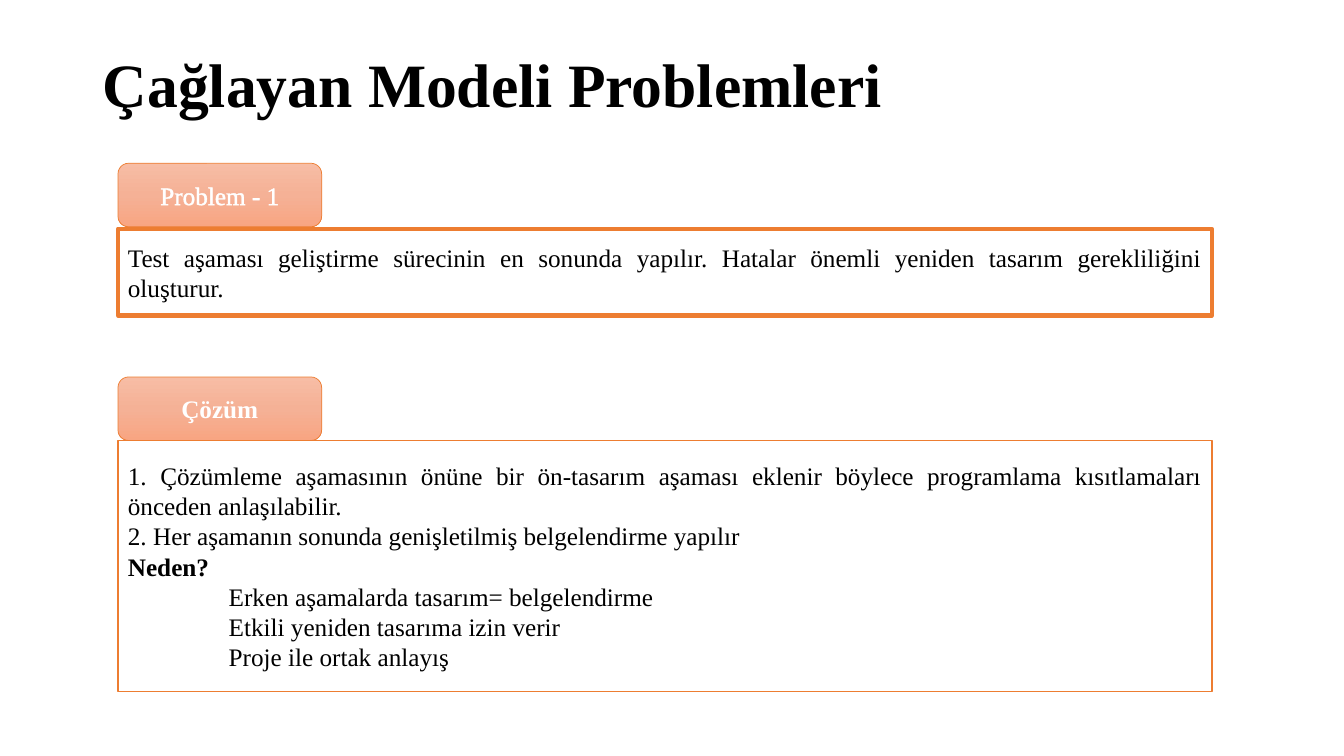
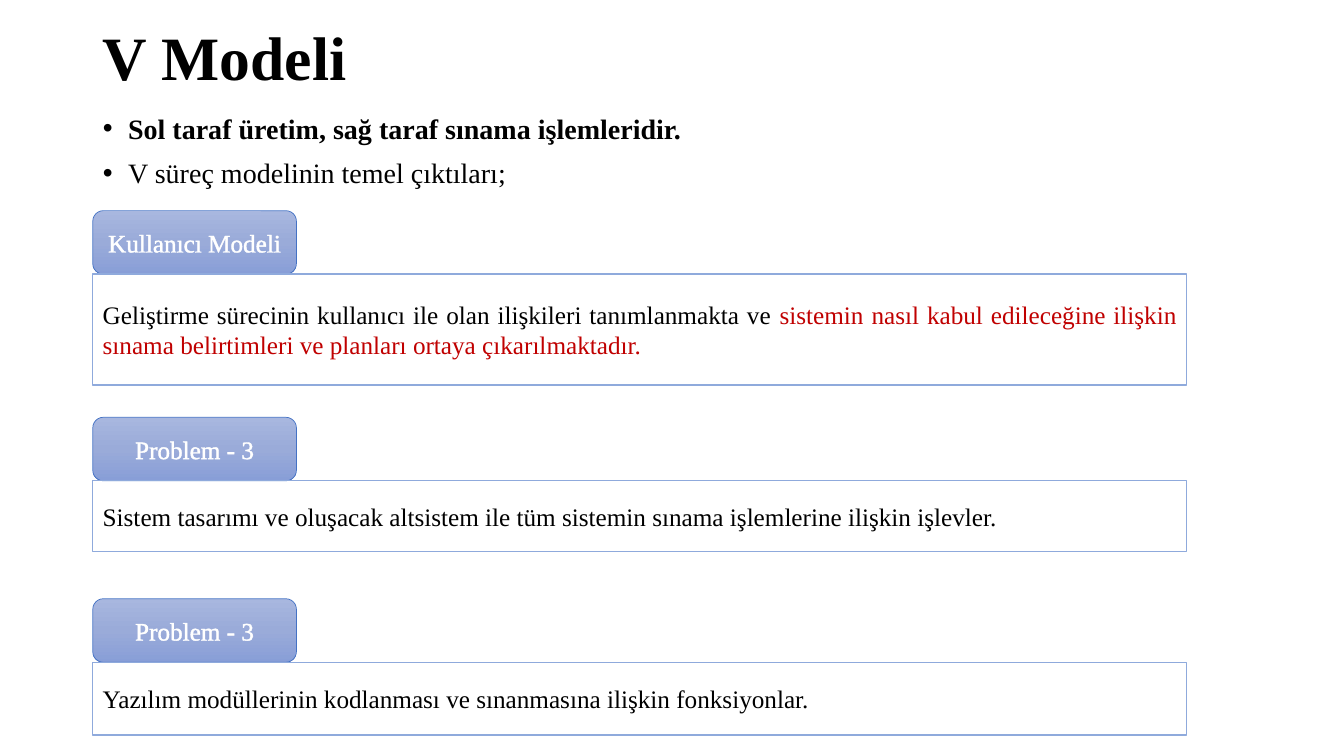
from copy import deepcopy

from lxml.etree import SubElement
from pptx import Presentation
from pptx.dml.color import RGBColor
from pptx.enum.shapes import MSO_SHAPE as Shape
from pptx.enum.text import MSO_ANCHOR as Anchor, MSO_AUTO_SIZE as AutoSize, PP_ALIGN as Align
from pptx.oxml.ns import qn
from pptx.util import Inches, Pt

ORANGE = {"gradient": ("F7BDA5", "F5B196", "F8A582"), "label_line": "ED7D31", "panel_line": "ED7D31"}
BLUE = {"gradient": ("A8B7DF", "9AABD9", "889ED7"), "label_line": "4472C4", "panel_line": "8FAADC"}
BLACK, WHITE, RED = "000000", "FFFFFF", "C00000"


def color(value):
    return RGBColor.from_string(value)


def assign(target, values):
    for name, value in values.items():
        setattr(target, name, value)


class Deck:
    font = "Times New Roman"
    frame_format = {"word_wrap": True, "auto_size": AutoSize.NONE, "vertical_anchor": Anchor.MIDDLE}
    label_size = (2.02, 0.63)
    panel_width = 10.85

    def __init__(self):
        self.presentation = Presentation()
        assign(self.presentation, {"slide_width": Inches(13.33), "slide_height": Inches(7.5)})

    def page(self, title, top, theme, left, layout=5):
        self.theme, self.left = theme, left
        self.slide = self.presentation.slides.add_slide(self.presentation.slide_layouts[layout])
        box = self.slide.shapes.title
        self.place(box, top, 0.94)
        para = box.text_frame.paragraphs[0]
        assign(para, {"alignment": Align.LEFT, "line_spacing": 0.9})
        self.span(para, title, 44, bold=True)

    def place(self, box, top, height):
        assign(box, {"left": Inches(0.92), "top": Inches(top), "width": Inches(11.5), "height": Inches(height)})
        assign(box.text_frame, self.frame_format)

    def span(self, para, text, size=18, bold=False, fill=BLACK):
        span = para.add_run()
        span.text = text
        assign(span.font, {"name": self.font, "size": Pt(size), "bold": bold})
        span.font.color.rgb = color(fill)
        return span

    def indent(self, para, margin, first=0):
        properties = para._p.get_or_add_pPr()
        properties.set("marL", str(Inches(margin)))
        properties.set("indent", str(Inches(first)))

    def bullets(self, items, top, height):
        box = self.slide.placeholders[1]
        self.place(box, top, height)
        frame = box.text_frame
        frame.vertical_anchor = Anchor.TOP
        for number, (text, bold) in enumerate(items):
            para = frame.add_paragraph() if number else frame.paragraphs[0]
            assign(para, {"alignment": Align.JUSTIFY, "line_spacing": 0.9, "space_before": Pt(10)})
            self.indent(para, 0.25, -0.25)
            SubElement(para._p.get_or_add_pPr(), qn("a:buChar")).set("char", "•")
            self.span(para, text, 20, bold)

    def shape(self, kind, top, width, height, line, weight):
        box = self.slide.shapes.add_shape(
            kind, Inches(self.left), Inches(top), Inches(width), Inches(height))
        box.shadow.inherit = False
        box.line.color.rgb = color(line)
        box.line.width = Pt(weight)
        assign(box.text_frame, self.frame_format)
        return box

    def label(self, text, top, bold):
        box = self.shape(Shape.ROUNDED_RECTANGLE, top, *self.label_size, self.theme["label_line"], 0.5)
        box.fill.gradient()
        box.fill.gradient_angle = 270
        stops = box._element.spPr.find(".//" + qn("a:gsLst"))
        stops.insert(1, deepcopy(stops[0]))
        for number, (stop, shade) in enumerate(zip(box.fill.gradient_stops, self.theme["gradient"])):
            stop.color.rgb = color(shade)
            stop.position = number / 2
        para = box.text_frame.paragraphs[0]
        para.alignment = Align.CENTER
        span = self.span(para, text, bold=bold, fill=WHITE)
        if not bold:
            self.outline(span)

    def outline(self, span):
        properties = span._r.get_or_add_rPr()
        line = SubElement(properties, qn("a:ln"), w=str(Pt(1.75)))
        SubElement(SubElement(line, qn("a:solidFill")), qn("a:srgbClr"), val=WHITE)
        properties.insert(0, line)

    def panel(self, paragraphs, top, height, weight):
        box = self.shape(Shape.RECTANGLE, top, self.panel_width, height, self.theme["panel_line"], weight)
        box.fill.background()
        frame = box.text_frame
        for number, (margin, spans) in enumerate(paragraphs):
            para = frame.add_paragraph() if number else frame.paragraphs[0]
            para.alignment = Align.JUSTIFY
            self.indent(para, margin)
            for text, style in spans:
                self.span(para, text, **style)

    def section(self, name, paragraphs, top, height, bold=False, weight=1, gap=0):
        self.label(name, top, bold)
        self.panel(paragraphs, top + self.label_size[1] + gap, height, weight)


def plain(text, margin=0, **style):
    return margin, [(text, style)]


def main():
    deck = Deck()
    deck.page("Çağlayan Modeli Problemleri", 0.4, ORANGE, 1.17)
    deck.section("Problem - 1", [
        plain("Test aşaması geliştirme sürecinin en sonunda yapılır. "
              "Hatalar önemli yeniden tasarım gerekliliğini oluşturur."),
    ], 1.62, 0.86, weight=3, gap=0.02)
    deck.section("Çözüm", [
        plain("1. Çözümleme aşamasının önüne bir ön-tasarım aşaması eklenir "
              "böylece programlama kısıtlamaları önceden anlaşılabilir."),
        plain("2. Her aşamanın sonunda genişletilmiş belgelendirme yapılır"),
        plain("Neden?", bold=True),
        plain("Erken aşamalarda tasarım= belgelendirme", 1),
        plain("Etkili yeniden tasarıma izin verir", 1),
        plain("Proje ile ortak anlayış", 1),
    ], 3.74, 2.49, bold=True)

    deck.page("V Modeli", 0.13, BLUE, 0.92, layout=1)
    deck.bullets([
        ("Sol taraf üretim, sağ taraf sınama işlemleridir.", True),
        ("V süreç modelinin temel çıktıları;", False),
    ], 1.09, 0.95)
    deck.section("Kullanıcı Modeli", [(0, [
        ("Geliştirme sürecinin kullanıcı ile olan ilişkileri tanımlanmakta ve ", {}),
        ("sistemin nasıl kabul edileceğine ilişkin sınama belirtimleri "
         "ve planları ortaya çıkarılmaktadır.", {"fill": RED}),
    ])], 2.09, 1.1)
    deck.section("Problem - 3", [
        plain("Sistem tasarımı ve oluşacak altsistem ile tüm sistemin "
              "sınama işlemlerine ilişkin işlevler."),
    ], 4.14, 0.7)
    deck.section("Problem - 3", [
        plain("Yazılım modüllerinin kodlanması ve sınanmasına ilişkin fonksiyonlar."),
    ], 5.94, 0.72)
    deck.presentation.save("out.pptx")


if __name__ == "__main__":
    main()
